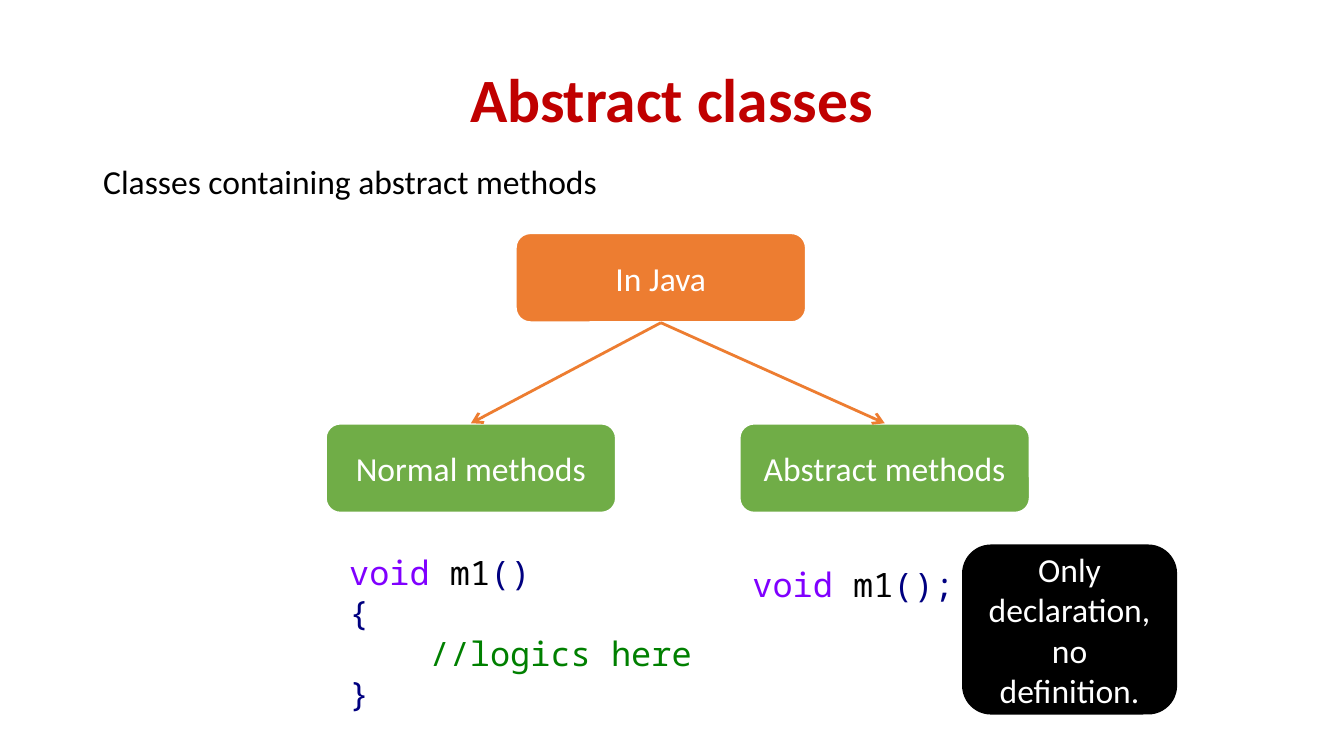
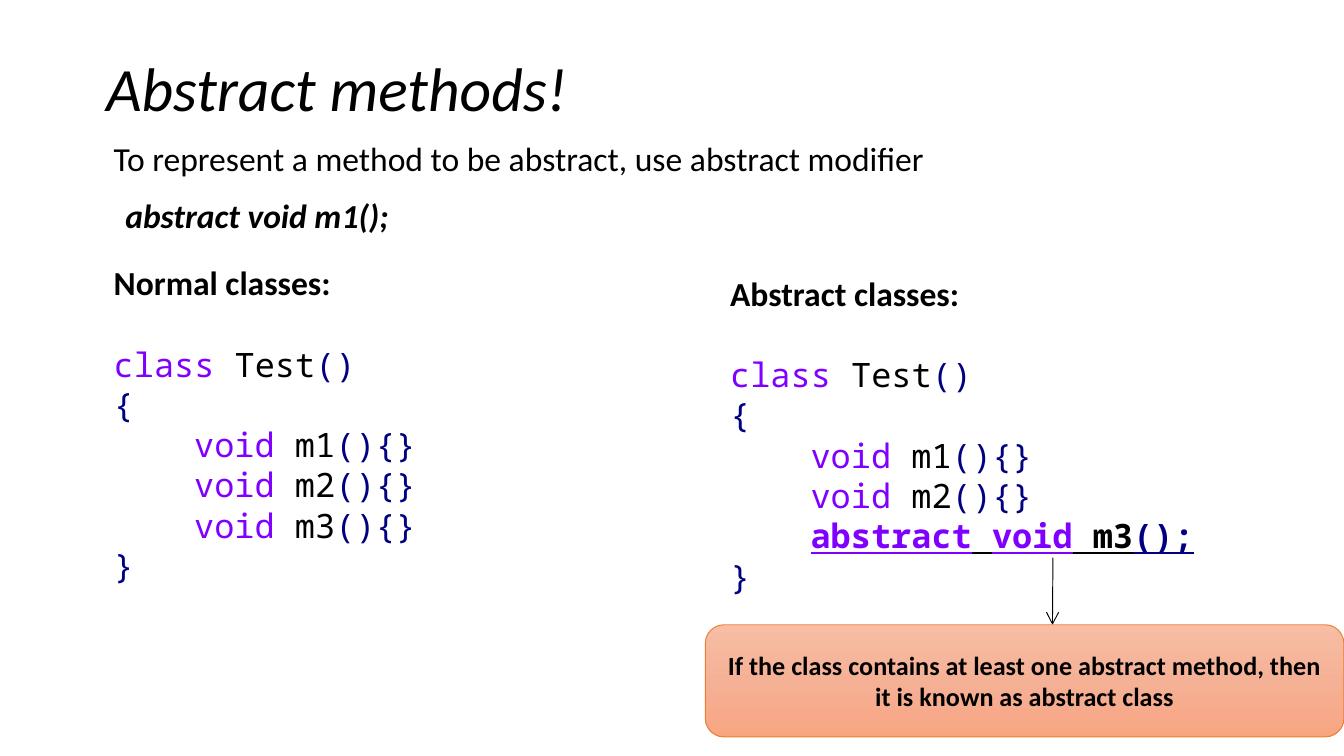
"""Build two slides on abstract classes and abstract methods in Java."""
from copy import deepcopy
from dataclasses import dataclass
from typing import NamedTuple

from lxml import etree
from pptx import Presentation
from pptx import util as u
from pptx.dml.color import RGBColor
from pptx.enum import shapes, text
from pptx.oxml.ns import qn

BLACK, WHITE, RED = "000000", "FFFFFF", "C00000"
ORANGE, GREEN = "ED7D31", "70AD47"
KEYWORD, SIGN, COMMENT = "8000FF", "000080", "008000"
PEACH = ("F7BDA5", "F5B196", "F8A582")
SANS, MONO = "Calibri", "Noto Sans Mono"
BODY_SIZE, TITLE_SIZE = 18, 33
TEXT_H, NODE_W, NODE_H = 1.02, 5.5, 1.7
CODE_INDENT = 1.52
LEFT, CENTER = text.PP_ALIGN.LEFT, text.PP_ALIGN.CENTER


class Area(NamedTuple):
    """Left, top, width and height in centimetres."""
    x: float
    y: float
    w: float
    h: float

    def lengths(self) -> list:
        """Return the four values as lengths."""
        return [u.Cm(v) for v in self]


class Piece(NamedTuple):
    """A stretch of text in one colour."""
    words: str
    color: str = BLACK


@dataclass
class Line:
    """One paragraph of a text box."""
    pieces: list
    font: str = MONO
    bold: bool = False
    italic: bool = False
    underline: bool = False
    indent: float = 0
    before: float = 0


@dataclass
class Box:
    """A rounded rectangle with a centred label."""
    area: Area
    label: str
    fill: str | tuple
    line: str = WHITE
    line_width: float = 1.5
    color: str = WHITE
    size: float = BODY_SIZE
    bold: bool = False


def rgb(value: str) -> RGBColor:
    """Turn a hex string into a colour."""
    return RGBColor.from_string(value)


def style(r, color: str, size: float = BODY_SIZE, font: str = SANS,
          bold: bool = False, italic: bool = False, underline: bool = False) -> None:
    """Format one run."""
    f = r.font
    f.name, f.size, f.color.rgb = font, u.Pt(size), rgb(color)
    f.bold, f.italic, f.underline = bold, italic, underline


def add_titled_slide(prs, title: str, height: float, color: str, align,
                     bold: bool = False, italic: bool = False):
    """Add a title-only slide and format its title."""
    s = prs.slides.add_slide(prs.slide_layouts[5])
    sp = s.shapes.title
    sp.left, sp.top, sp.width, sp.height = Area(1.75, 0.76, 21.89, height).lengths()
    tf = sp.text_frame
    tf.text = title
    tf.vertical_anchor = text.MSO_ANCHOR.MIDDLE
    p = tf.paragraphs[0]
    p.alignment, p.line_spacing = align, 0.9
    style(p.runs[0], color, TITLE_SIZE, bold=bold, italic=italic)
    return s


def add_text(s, area: Area, lines: list[Line]) -> None:
    """Add a text box with one paragraph per line."""
    tf = s.shapes.add_textbox(*area.lengths()).text_frame
    tf.word_wrap = True
    tf.auto_size = text.MSO_AUTO_SIZE.SHAPE_TO_FIT_TEXT
    for i, line in enumerate(lines):
        p = tf.add_paragraph() if i else tf.paragraphs[0]
        if line.before:
            p.space_before = u.Pt(line.before)
        if line.indent:
            p._p.get_or_add_pPr().set("marL", str(u.Cm(line.indent)))
        for piece in line.pieces:
            r = p.add_run()
            r.text = piece.words
            style(r, piece.color, font=line.font, bold=line.bold,
                  italic=line.italic, underline=line.underline)


def fill_gradient(sp, colors: tuple) -> None:
    """Fill a shape from top to bottom with evenly spaced colours."""
    sp.fill.gradient()
    sp.fill.gradient_angle = 270
    stops = sp._element.spPr.find(".//" + qn("a:gsLst"))
    for _ in colors[2:]:
        stops.insert(1, deepcopy(stops[0]))
    for i, stop in enumerate(sp.fill.gradient_stops):
        stop.position = i / (len(colors) - 1)
        stop.color.rgb = rgb(colors[i])


def add_box(s, box: Box):
    """Add a rounded box and return it."""
    sp = s.shapes.add_shape(shapes.MSO_SHAPE.ROUNDED_RECTANGLE, *box.area.lengths())
    sp.shadow.inherit = False
    if isinstance(box.fill, tuple):
        fill_gradient(sp, box.fill)
    else:
        sp.fill.solid()
        sp.fill.fore_color.rgb = rgb(box.fill)
    sp.line.color.rgb, sp.line.width = rgb(box.line), u.Pt(box.line_width)
    tf = sp.text_frame
    tf.word_wrap = True
    tf.vertical_anchor = text.MSO_ANCHOR.MIDDLE
    tf.text = box.label
    p = tf.paragraphs[0]
    p.alignment = CENTER
    style(p.runs[0], box.color, box.size, bold=box.bold)
    return sp


def add_arrow(s, start: tuple, end: tuple, color: str, width: float):
    """Add a straight arrow between two points in centimetres."""
    cx = s.shapes.add_connector(shapes.MSO_CONNECTOR.STRAIGHT,
                                *[u.Cm(v) for v in (*start, *end)])
    cx.line.color.rgb, cx.line.width = rgb(color), u.Pt(width)
    etree.SubElement(cx.line._get_or_add_ln(), qn("a:tailEnd"), type="arrow")
    etree.SubElement(cx._element.spPr, qn("a:effectLst"))
    return cx


def plain(words: str, **looks) -> Line:
    """Return a line of black sans text."""
    return Line([Piece(words)], font=SANS, **looks)


def code(keyword: str, name: str, sign: str, **looks) -> Line:
    """Return a line of code made of keyword, name and signs."""
    return Line([Piece(keyword, KEYWORD), Piece(f" {name}"), Piece(sign, SIGN)], **looks)


def sign(mark: str) -> Line:
    """Return a line of code that holds one brace."""
    return Line([Piece(mark, SIGN)])


def class_listing(heading: str, members: list[Line]) -> list[Line]:
    """Return a heading followed by a class with its members."""
    return [plain(heading, bold=True), code("class", "Test", "()", before=22),
            sign("{"), *members, sign("}")]


def method(name: str) -> Line:
    """Return an indented method with an empty body."""
    return code("void", name, "(){}", indent=CODE_INDENT)


def build_classes(prs) -> None:
    """Build the slide that splits methods into two kinds."""
    s = add_titled_slide(prs, "Abstract classes", 2.36, RED, CENTER, bold=True)
    add_text(s, Area(1.7, 2.92, 11.86, TEXT_H), [plain("Classes containing abstract methods")])
    root = add_box(s, Box(Area(9.74, 4.4, NODE_W, NODE_H), "In Java", ORANGE))
    for x, label in ((6.15, "Normal methods"), (13.97, "Abstract methods")):
        child = add_box(s, Box(Area(x, 8, NODE_W, NODE_H), label, GREEN))
        cx = add_arrow(s, (12.49, 6.1), (x + NODE_W / 2, 8), ORANGE, 1.5)
        cx.begin_connect(root, 2)
        cx.end_connect(child, 0)
    add_text(s, Area(6.35, 10.31, 7.2, 3.33), [
        code("void", "m1", "()"), sign("{"),
        Line([Piece("//logics here", COMMENT)], indent=CODE_INDENT), sign("}")])
    add_text(s, Area(13.97, 10.54, 7.2, TEXT_H), [code("void", "m1", "();")])
    add_box(s, Box(Area(18.2, 10.31, 4.03, 3.18), "Only declaration, no definition.",
                   BLACK, line=BLACK, line_width=1))


def build_methods(prs) -> None:
    """Build the slide that compares normal and abstract classes."""
    s = add_titled_slide(prs, "Abstract methods!", 1.93, BLACK, LEFT, italic=True)
    add_text(s, Area(1.9, 2.49, 16.93, TEXT_H),
             [plain("To represent a method to be abstract, use abstract modifier")])
    add_text(s, Area(2.12, 3.56, 16.93, TEXT_H),
             [plain("abstract void m1();", bold=True, italic=True)])
    shared = [method("m1"), method("m2")]
    abstract = Line([Piece("abstract", KEYWORD), Piece(" "), Piece("void", KEYWORD),
                     Piece(" m3"), Piece("();", SIGN)],
                    bold=True, underline=True, indent=CODE_INDENT)
    add_text(s, Area(1.9, 4.83, 6.56, 6.4),
             class_listing("Normal classes:", [*shared, method("m3")]))
    add_text(s, Area(13.55, 5.03, 9.31, 6.4),
             class_listing("Abstract classes:", [*shared, abstract]))
    add_arrow(s, (19.9, 10.54), (19.89, 11.81), BLACK, 0.5)
    add_box(s, Box(Area(13.33, 11.81, 12.07, 2.12),
                   "If the class contains at least one abstract method, "
                   "then it is known as abstract class",
                   PEACH, line=ORANGE, line_width=0.5, color=BLACK, size=14, bold=True))


def main() -> None:
    """Build and save the presentation."""
    prs = Presentation()
    prs.slide_width, prs.slide_height = u.Cm(25.4), u.Cm(14.29)
    build_classes(prs)
    build_methods(prs)
    prs.save("out.pptx")


if __name__ == "__main__":
    main()
